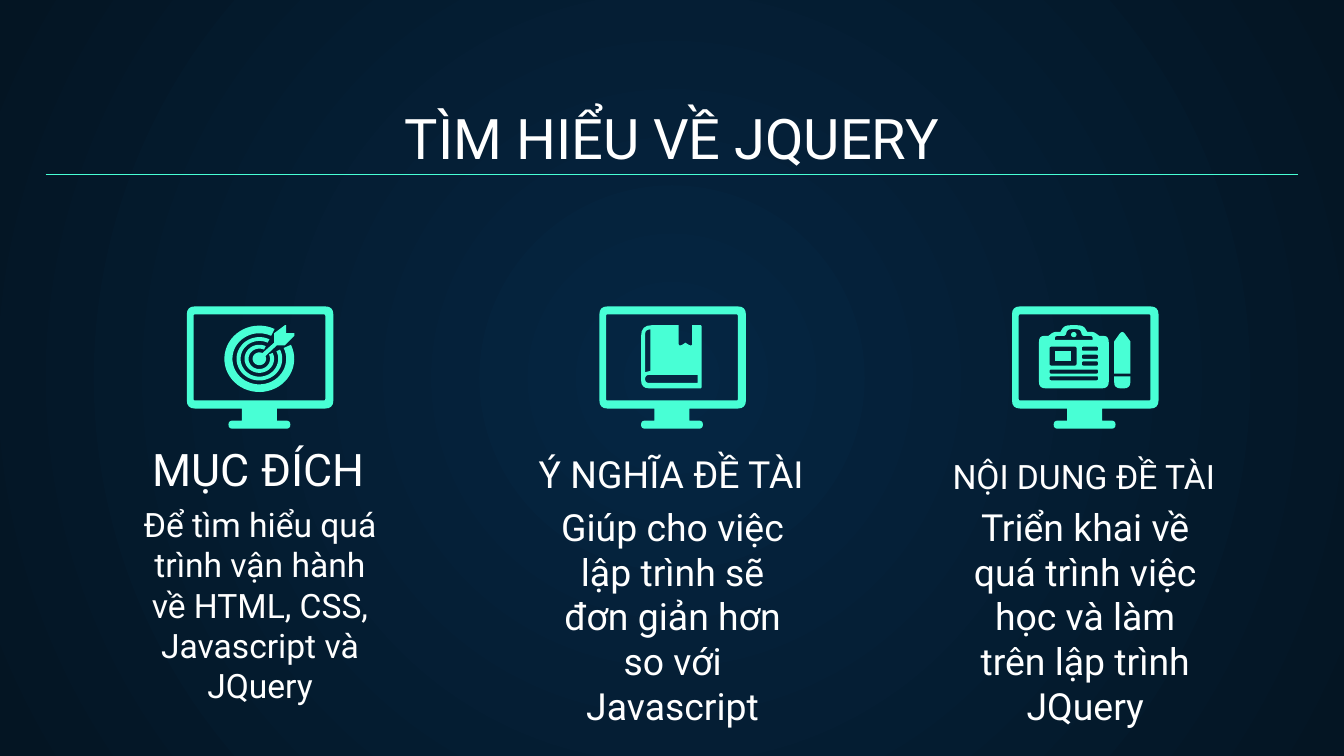
import math
import pptx
import pptx.dml.color
import pptx.enum.shapes
import pptx.enum.text
import pptx.oxml
import pptx.oxml.ns
import pptx.util
from dataclasses import dataclass

Inches = pptx.util.Inches
ANCHOR = pptx.enum.text.MSO_ANCHOR


@dataclass
class Theme:
    font: str = "Roboto"
    text: str = "FFFFFF"
    accent: str = "48FFD5"
    glow: str = "052643"
    edge: str = "041523"
    title_size: int = 30
    large_size: int = 24
    medium_size: int = 20
    small_size: int = 18
    rule_width: float = 0.75


def rgb(value):
    return pptx.dml.color.RGBColor.from_string(value)


def write_text(frame, text, *, size, font, color, anchor):
    frame.word_wrap = True
    frame.vertical_anchor = anchor
    frame.margin_left = frame.margin_right = Inches(0.1)
    frame.margin_top = frame.margin_bottom = Inches(0.1)
    paragraph = frame.paragraphs[0]
    paragraph.alignment = pptx.enum.text.PP_ALIGN.CENTER
    run = paragraph.add_run()
    run.text = text
    run.font.size = pptx.util.Pt(size)
    run.font.name = font
    run.font.color.rgb = rgb(color)


def toward(start, end, radius):
    length = math.dist(start, end)
    share = min(radius / length, 0.5)
    return [a + (b - a) * share for a, b in zip(start, end)]


def outline(*vertices):
    """Corners are (x, y) or, when rounded, (x, y, radius)."""
    points = []
    for index, (x, y, *radius) in enumerate(vertices):
        if not radius:
            points.append((x, y))
            continue
        before = toward((x, y), vertices[index - 1][:2], radius[0])
        after = toward((x, y), vertices[(index + 1) % len(vertices)][:2], radius[0])
        for t in (0, 0.25, 0.5, 0.75, 1):
            points.append(tuple(
                (1 - t) ** 2 * a + 2 * t * (1 - t) * c + t ** 2 * b
                for a, c, b in zip(before, (x, y), after)))
    return points


def box(left, top, right, bottom, radius=0.01):
    return outline((left, top, radius), (right, top, radius),
                   (right, bottom, radius), (left, bottom, radius))


def arc(x, y, radius, start=64, end=385, steps=48):
    angles = [math.radians(start + (end - start) * i / steps) for i in range(steps + 1)]
    return [(x + radius * math.cos(a), y - 0.95 * radius * math.sin(a)) for a in angles]


class SlideBuilder:
    def __init__(self, presentation, theme):
        self.theme = theme
        self.slide = presentation.slides.add_slide(presentation.slide_layouts[6])

    def background(self):
        fill = self.slide.background.fill
        fill.gradient()
        for stop, color in zip(fill.gradient_stops, (self.theme.glow, self.theme.edge)):
            stop.color.rgb = rgb(color)
        gradient = self.slide.element.find(".//" + pptx.oxml.ns.qn("a:gradFill"))
        gradient.remove(gradient.find(pptx.oxml.ns.qn("a:lin")))
        gradient.append(pptx.oxml.parse_xml(
            f'<a:path {pptx.oxml.ns.nsdecls("a")} path="circle">'
            '<a:fillToRect l="50000" t="50000" r="50000" b="50000"/></a:path>'))

    def text(self, text, left, top, width, height, size, anchor=ANCHOR.TOP):
        shape = self.slide.shapes.add_textbox(
            Inches(left), Inches(top), Inches(width), Inches(height))
        write_text(shape.text_frame, text, size=size, font=self.theme.font,
                   color=self.theme.text, anchor=anchor)

    def rule(self, left, right, y):
        line = self.slide.shapes.add_connector(
            pptx.enum.shapes.MSO_CONNECTOR.STRAIGHT,
            Inches(left), Inches(y), Inches(right), Inches(y))
        line.line.color.rgb = rgb(self.theme.accent)
        line.line.width = pptx.util.Pt(self.theme.rule_width)
        line.element.spPr.append(pptx.oxml.parse_xml(
            f'<a:effectLst {pptx.oxml.ns.nsdecls("a")}/>'))

    def freeform(self, *contours):
        builder = None
        for contour in contours:
            points = [(Inches(x), Inches(y)) for x, y in contour]
            if builder is None:
                builder = self.slide.shapes.build_freeform(*points[0])
            else:
                builder.move_to(*points[0])
            builder.add_line_segments(points[1:], close=True)
        shape = builder.convert_to_shape()
        shape.shadow.inherit = False
        shape.fill.solid()
        shape.fill.fore_color.rgb = rgb(self.theme.accent)
        shape.line.fill.background()
        return shape

    def group(self, shapes):
        self.slide.shapes.add_group_shape(shapes=shapes)

    def monitor(self, x):
        self.freeform(
            outline((x, 2.28, 0.06), (x + 1.09, 2.28, 0.06), (x + 1.09, 3.04, 0.06),
                    (x + 0.67, 3.04), (x + 0.67, 3.13), (x + 0.77, 3.13, 0.03),
                    (x + 0.77, 3.19, 0.03), (x + 0.31, 3.19, 0.03),
                    (x + 0.31, 3.13, 0.03), (x + 0.41, 3.13), (x + 0.41, 3.04),
                    (x, 3.04, 0.06)),
            box(x + 0.05, 2.34, x + 1.03, 2.98))

    def target(self):
        x, y = 1.93, 2.67
        rings = [self.freeform(arc(x, y, outer) + arc(x, y, inner)[::-1])
                 for outer, inner in ((0.17, 0.14), (0.11, 0.08), (0.26, 0.2))]
        dart = self.freeform(
            [(2.12, 2.42), (2.04, 2.48), (2.04, 2.55), (1.95, 2.63)]
            + arc(x, y, 0.05)
            + [(2.06, 2.57), (2.12, 2.57), (2.19, 2.5), (2.19, 2.48),
               (2.13, 2.48), (2.13, 2.42)])
        self.group(rings + [dart])

    def book(self):
        self.freeform(
            outline((4.77, 2.42, 0.08), (5.05, 2.42), (5.05, 2.57, 0.01),
                    (5.07, 2.57, 0.01), (5.1, 2.55), (5.13, 2.57, 0.01),
                    (5.15, 2.57, 0.01), (5.15, 2.42), (5.22, 2.42, 0.01),
                    (5.22, 2.89, 0.01), (4.77, 2.89, 0.06)),
            outline((4.84, 2.45), (4.84, 2.76), (4.8, 2.77), (4.8, 2.46, 0.03)),
            outline((5.19, 2.79), (5.19, 2.85), (4.8, 2.85, 0.03), (4.8, 2.79, 0.03)))

    def clipboard(self):
        short_lines = [box(8.05, y, 8.17, y + 0.03) for y in (2.58, 2.64, 2.69)]
        long_lines = [box(7.81, y, 8.17, y + 0.03) for y in (2.75, 2.8)]
        board = self.freeform(
            outline((7.73, 2.5, 0.05), (7.8, 2.5), (7.84, 2.47, 0.02), (7.89, 2.47),
                    (7.92, 2.42, 0.05), (8.06, 2.42, 0.05), (8.09, 2.47),
                    (8.14, 2.47, 0.02), (8.18, 2.5), (8.25, 2.5, 0.05),
                    (8.25, 2.89, 0.05), (7.73, 2.89, 0.05)),
            outline((7.85, 2.53), (7.85, 2.5, 0.02), (7.93, 2.5, 0.02),
                    (7.94, 2.45, 0.03), (8.04, 2.45, 0.03), (8.05, 2.5, 0.02),
                    (8.13, 2.5, 0.02), (8.13, 2.53)),
            box(7.81, 2.58, 8.01, 2.72), *short_lines, *long_lines)
        clip_hole = self.freeform(arc(7.99, 2.49, 0.02, 0, 360))
        card = self.freeform(outline((7.85, 2.61), (7.97, 2.61), (7.97, 2.69), (7.85, 2.69)))
        pencil = self.freeform(outline((8.29, 2.54), (8.34, 2.47, 0.02), (8.36, 2.47, 0.02),
                                       (8.41, 2.54), (8.41, 2.78), (8.29, 2.78)))
        eraser = self.freeform(outline((8.29, 2.8), (8.41, 2.8),
                                       (8.41, 2.89, 0.05), (8.29, 2.89, 0.05)))
        self.group([board, clip_hole, card, pencil, eraser])


def main():
    theme = Theme()
    presentation = pptx.Presentation()
    presentation.slide_width = Inches(10)
    presentation.slide_height = Inches(10) * 9 // 16
    slide = SlideBuilder(presentation, theme)
    slide.background()
    slide.text("TÌM HIỂU VỀ JQUERY", 0.34, 0.71, 9.32, 0.66, theme.title_size, ANCHOR.BOTTOM)
    slide.rule(0.34, 9.66, 1.3)
    topics = [
        ("MỤC ĐÍCH", theme.large_size,
         "Để tìm hiểu quá trình vận hành về HTML, CSS, Javascript và JQuery",
         theme.small_size, slide.target),
        ("Ý NGHĨA ĐỀ TÀI", theme.medium_size,
         "Giúp cho việc lập trình sẽ đơn giản hơn so với Javascript",
         theme.medium_size, slide.book),
        ("NỘI DUNG ĐỀ TÀI", theme.small_size,
         "Triển khai về quá trình việc học và làm trên lập trình JQuery",
         theme.medium_size, slide.clipboard),
    ]
    for column, (heading, heading_size, body, body_size, draw_icon) in enumerate(topics):
        offset = 3.07 * column
        slide.text(body, 0.9 + offset, 3.65, 2.07, 0.55, body_size)
        slide.text(heading, 0.79 + offset, 3.58, 2.27, 0.21, heading_size, ANCHOR.BOTTOM)
        slide.monitor(1.39 + offset)
        draw_icon()
    presentation.save("out.pptx")


if __name__ == "__main__":
    main()
